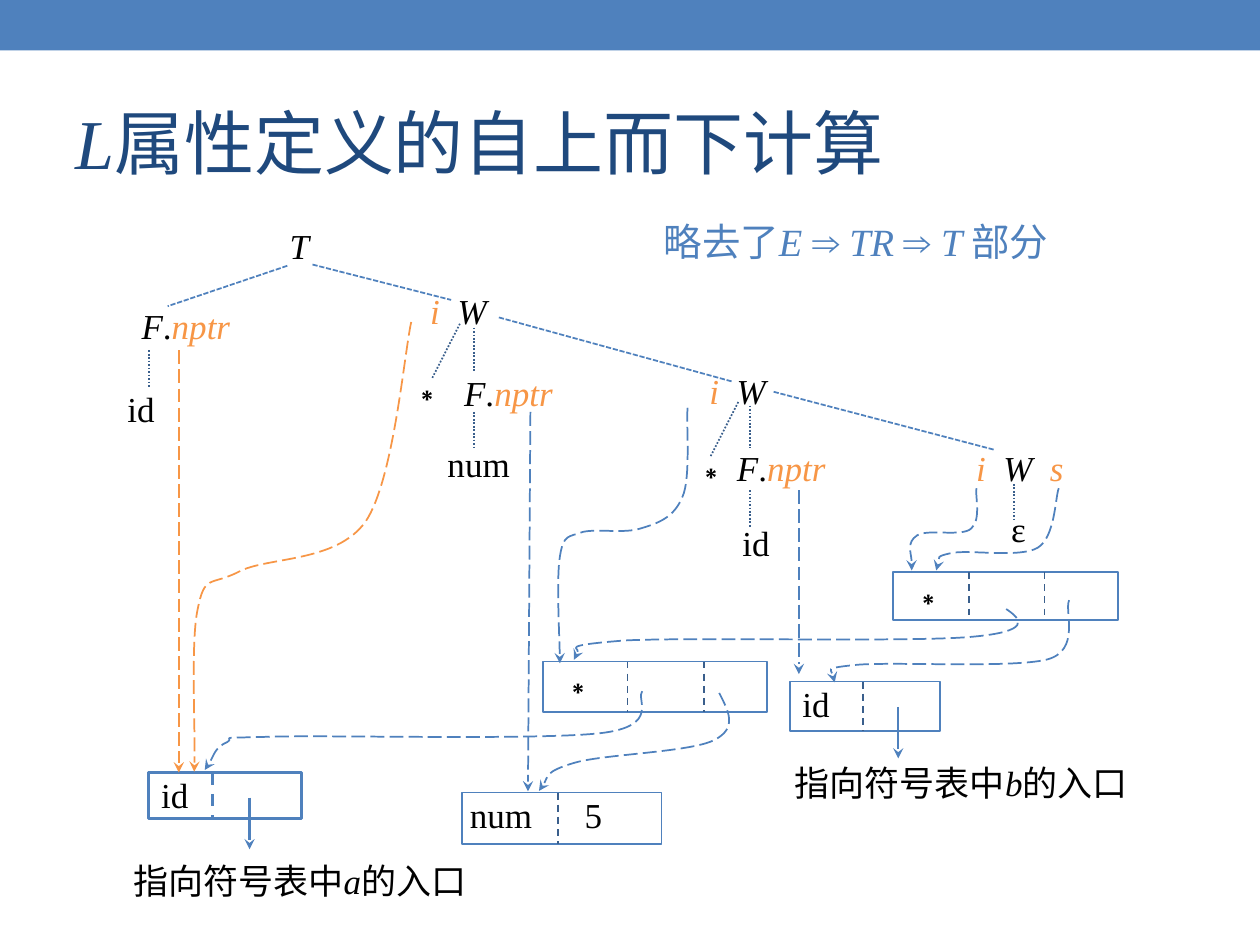
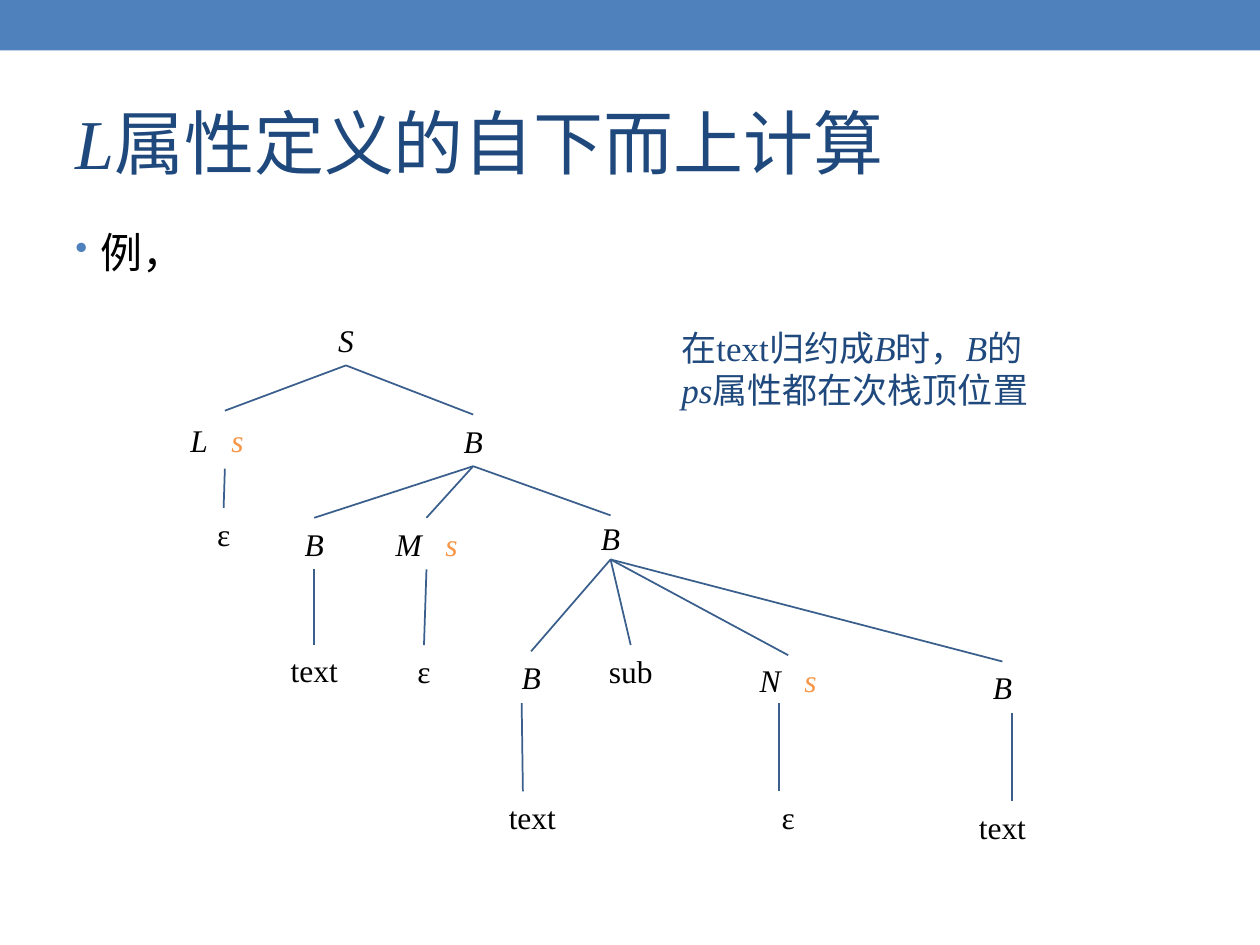
from lxml import etree
from pptx import Presentation
from pptx.dml.color import RGBColor
from pptx.enum.dml import MSO_LINE
from pptx.enum.shapes import MSO_CONNECTOR, MSO_SHAPE
from pptx.enum.text import MSO_ANCHOR, PP_ALIGN
from pptx.oxml.ns import qn
from pptx.util import Pt

RECT, LINE = MSO_SHAPE.RECTANGLE, MSO_CONNECTOR.STRAIGHT
DOT, SHORT = MSO_LINE.ROUND_DOT, MSO_LINE.SQUARE_DOT
DASH, LONG = MSO_LINE.DASH, MSO_LINE.LONG_DASH
LEFT, MID = PP_ALIGN.LEFT, PP_ALIGN.CENTER
TOP, HALF = MSO_ANCHOR.TOP, MSO_ANCHOR.MIDDLE

FACE = "Times New Roman"
BLUE, NAVY, STEEL = "4F81BD", "1F497D", "3A5F8C"
ORANGE, BLACK = "F79646", "000000"
TIGHT = (1.4, 0.7, 1.4, 0.7)
ROOMY = (7.2, 3.6, 7.2, 3.6)

# Runs are (text, flags): i = italic, o = orange
NPTR = [("F", "i"), (".", ""), ("nptr", "io")]


def color(code):
    return RGBColor.from_string(code)


def add_xml(parent, tag, **attrs):
    return etree.SubElement(parent, qn(tag), {k: str(v) for k, v in attrs.items()})


def fill_text(shape, runs, size=20, hue=BLACK, align=LEFT, anchor=TOP,
              pad=TIGHT, tabs=(), bullet=None):
    frame = shape.text_frame
    frame.word_wrap = True
    frame.vertical_anchor = anchor
    (frame.margin_left, frame.margin_top,
     frame.margin_right, frame.margin_bottom) = map(Pt, pad)
    para = frame.paragraphs[0]
    para.alignment = align
    props = para._p.get_or_add_pPr()
    if bullet:
        props.set("marL", str(Pt(14.4)))
        props.set("indent", str(Pt(-14.4)))
        add_xml(add_xml(props, "a:buClr"), "a:srgbClr", val=BLUE)
        add_xml(props, "a:buSzPct", val=85000)
        add_xml(props, "a:buChar", char=bullet)
    if tabs:
        stops = add_xml(props, "a:tabLst")
        for stop in tabs:
            add_xml(stops, "a:tab", pos=Pt(stop), algn="l")
    for words, flags in [(runs, "")] if isinstance(runs, str) else runs:
        run = para.add_run()
        run.text = words
        font = run.font
        font.name, font.size = FACE, Pt(size)
        font.italic = "i" in flags
        font.color.rgb = color(ORANGE if "o" in flags else hue)
    return shape


def text(slide, box, runs, **form):
    return fill_text(slide.shapes.add_textbox(*map(Pt, box)), runs, **form)


def style(shape, hue, width=1, dash=None, arrow=False):
    line = shape.line
    line.color.rgb = color(hue)
    line.width = Pt(width)
    if dash:
        line.dash_style = dash
    if arrow:
        add_xml(shape._element.spPr.find(qn("a:ln")), "a:tailEnd", type="stealth")


def link(slide, x1, y1, x2, y2, hue=STEEL, **form):
    wire = slide.shapes.add_connector(LINE, Pt(x1), Pt(y1), Pt(x2), Pt(y2))
    style(wire, hue, **form)
    add_xml(wire._element.spPr, "a:effectLst")
    return wire


def curve(slide, hue, points):
    """Draw a dashed arrow: a start, then three points for each Bezier arc."""
    spots = [(Pt(x), Pt(y)) for x, y in points]
    pen = slide.shapes.build_freeform(*spots[0], scale=1.0)
    pen.add_line_segments(spots[1:], close=False)
    shape = pen.convert_to_shape()
    shape.fill.background()
    shape.shadow.inherit = False
    trace = shape._element.find(".//" + qn("a:path"))
    steps = trace.findall(qn("a:lnTo"))
    for n in range(0, len(steps), 3):
        arc = add_xml(trace, "a:cubicBezTo")
        for step in steps[n:n + 3]:
            arc.append(step[0])
            trace.remove(step)
    style(shape, hue, dash=LONG, arrow=True)


def frame_slide(deck, title):
    """Add a slide with the top band and the title."""
    slide = deck.slides.add_slide(deck.slide_layouts[6])
    band = slide.shapes.add_shape(RECT, 0, 0, Pt(720), Pt(28.8))
    band.shadow.inherit = False
    band.fill.solid()
    band.fill.fore_color.rgb = color(BLUE)
    band.line.fill.background()
    text(slide, (36, 41.8, 648, 77.8), [("L", "i"), (title, "")],
         size=40, hue=NAVY, anchor=HALF, pad=ROOMY)
    return slide


def record(slide, box, words, cuts, inset=7.2, width=1, hue=STEEL,
           point=None, tabs=()):
    """Draw a node record with dashed cuts and an optional table pointer."""
    x, y, w, h = box
    cell = slide.shapes.add_shape(RECT, *map(Pt, box))
    cell.fill.background()
    cell.shadow.inherit = False
    style(cell, BLUE, width)
    fill_text(cell, words, pad=(inset,) + TIGHT[1:], tabs=tabs)
    for cut in cuts:
        link(slide, x + cut, y, x + cut, y + h, hue, width=width, dash=DASH)
    if point:
        link(slide, x + point, y + 14.4, x + point, y + 43.9, BLUE,
             width=width, arrow=True)


def parse_tree(slide):
    # Node labels: left, top, width
    for x, y, w, runs in [
            (159, 127.4, 24, [("T", "i")]),
            (252.7, 211.7, 75.6, NPTR), (68.4, 173.5, 75.6, NPTR),
            (407.5, 254.2, 77.8, NPTR),
            (61.2, 221, 38.9, "id"), (419, 297.4, 26, "id"),
            (246.2, 252, 54.7, "num"), (573, 289.4, 18, "ε"),
            (230.4, 210.2, 27.4, "∗"), (393.8, 254.9, 25.2, "∗")]:
        text(slide, (x, y, w, 24), runs, align=MID)
    # W nodes with inherited i, the last also with synthesized s
    for x, y, tail in [(244.5, 164.9, ""), (404, 210.2, ""), (556.4, 254.2, "\ts")]:
        text(slide, (x, y, 58, 24), [("i", "io"), ("\tW", "i"), (tail, "io")][:3 if tail else 2],
             tabs=(15.6, 42.2))

    # Long branches
    for ends in [(178.6, 151.2, 257.8, 171.4), (285.1, 181.4, 419, 218.2),
                 (442.1, 223.9, 568.1, 257), (164.2, 151.9, 95.8, 175)]:
        link(slide, *ends, BLUE, dash=SHORT)
    # Short branches
    for x, y, drop in [(85, 200.2, 21.6), (270.7, 235.4, 21.6),
                       (428.4, 280.1, 21.6), (579.6, 276.5, 21.6),
                       (270.7, 187.2, 25.2), (428.4, 231.8, 24.5)]:
        link(slide, x, y, x, y + drop, dash=DOT)
    for x, y in [(421.9, 229.7), (262.8, 185)]:
        link(slide, x, y, x - 15.8, y + 31, dash=DOT)


def records(slide):
    record(slide, (85, 441.4, 87.1, 26.6), "id", [36.4], width=1.75,
           hue=BLUE, point=57.6)
    record(slide, (451.4, 389.5, 85.7, 28.4), "id", [41.8], point=61.9)
    record(slide, (264.2, 452.9, 113.8, 29.5), "num\t5", [54.7], inset=4.3,
           tabs=[65.6])
    record(slide, (510.5, 326.9, 128.2, 27.4), "∗", [43.2, 86.4], inset=10)
    record(slide, (310.3, 378, 128.2, 28.8), "∗", [48.2, 92.2], inset=10)
    for x, y, name in [(41, 490.3, "a"), (419, 434.2, "b")]:
        text(slide, (x, y, 260.6, 24),
             [("指向符号表中", ""), (name, "i"), ("的入口", "")], align=MID)


def pointers(slide):
    for ends, hue in [((102.2, 200.2, 102.2, 441.4), ORANGE),
                      ((303.1, 235.4, 301.7, 452.2), BLUE),
                      ((456.5, 280.1, 456.5, 385.2), BLUE)]:
        link(slide, *ends, hue, dash=LONG, arrow=True)
    # From i and s to the records
    curve(slide, ORANGE, [
        (235, 184), (231, 202), (225, 274), (209, 298), (192, 322),
        (152, 318), (136, 327), (120, 335), (117, 328), (113, 348),
        (109, 366), (112, 421), (111, 441)])
    curve(slide, BLUE, [
        (393, 233), (392, 241), (395, 273), (390, 284), (385, 296),
        (376, 299), (366, 302), (357, 305), (341, 302), (333, 304),
        (325, 307), (322, 305), (320, 318), (318, 330), (320, 369), (320, 379)])
    curve(slide, BLUE, [
        (558, 279), (557, 282), (561, 297), (555, 302), (550, 307),
        (530, 302), (524, 306), (518, 310), (522, 322), (521, 326)])
    curve(slide, BLUE, [
        (605, 279), (603, 284), (603, 307), (593, 313), (583, 319),
        (554, 314), (544, 316), (534, 318), (536, 324), (535, 326)])
    # From record to record
    curve(slide, BLUE, [
        (367, 395), (363, 399), (378, 415), (343, 419), (307, 423),
        (190, 420), (155, 421), (120, 422), (135, 421), (130, 424),
        (123, 427), (120, 437), (117, 440)])
    curve(slide, BLUE, [
        (411, 396), (416, 406), (422, 416), (408, 423), (394, 430),
        (344, 431), (328, 436), (311, 441), (311, 450), (308, 452)])
    curve(slide, BLUE, [
        (575, 348), (584, 354), (590, 361), (554, 364), (518, 367),
        (395, 364), (357, 366), (319, 369), (334, 375), (328, 377)])
    curve(slide, BLUE, [
        (611, 343), (608, 349), (618, 372), (598, 377), (577, 382),
        (509, 378), (489, 380), (469, 382), (477, 387), (477, 390)])


def top_down(deck):
    slide = frame_slide(deck, "属性定义的自上而下计算")
    parse_tree(slide)
    records(slide)
    pointers(slide)
    text(slide, (372.2, 110.9, 340, 54),
         [("略去了", ""), ("E ", "i"), ("⇒ ", ""), ("TR ", "i"),
          ("⇒ ", ""), ("T ", "i"), ("部分", "")],
         size=22, hue=BLUE, anchor=HALF, pad=ROOMY)


def box_tree(slide):
    # Plain nodes: centre, top, height, word, flags
    nodes = {}
    for key, x, y, h, word, flags in [
            ("S", 197.7, 179.3, 29.5, "S", "i"),
            ("B", 270.4, 236.9, 29.5, "B", "i"),
            ("L1", 127.8, 290.2, 29.5, "ε", ""),
            ("B1", 179.6, 295.9, 29.5, "B", "i"),
            ("B2", 348.9, 294.5, 25.2, "B", "i"),
            ("text", 179.6, 368.6, 28.1, "text", ""),
            ("M1", 242.3, 368.6, 29.5, "ε", ""),
            ("B3", 303.5, 372.2, 29.5, "B", "i"),
            ("sub", 360.4, 368.6, 29.5, "sub", ""),
            ("B4", 572.8, 378, 29.5, "B", "i"),
            ("text3", 304.2, 452.2, 29.5, "text", ""),
            ("N1", 450.4, 452.2, 29.5, "ε", ""),
            ("text4", 572.8, 457.9, 29.5, "text", "")]:
        nodes[key] = text(slide, (x - 27, y, 54, h), [(word, flags)], size=18,
                          align=MID, anchor=HALF, pad=ROOMY)
    # Nodes with attribute s: box, left inset, tab
    for key, box, inset, tab in [
            ("L", (82.8, 234.7, 91.4, 33.1), 26, 23.5),
            ("M", (216.7, 295.9, 54, 29.5), 9.3, 28.5),
            ("N", (413.3, 374.4, 74.2, 28.1), 20.8, 25.5)]:
        nodes[key] = text(slide, box, [(key, "i"), ("\ts", "io")], size=18,
                          anchor=HALF, pad=(inset, 3.6, 0, 3.6), tabs=[tab])
    # Edges from parent to child
    for head, kids in {"S": "L B", "B": "B1 M B2", "B2": "B3 sub N B4",
                       "L": "L1", "B1": "text", "M": "M1"}.items():
        for kid in kids.split():
            wire = link(slide, 0, 0, 1, 1)
            wire.begin_connect(nodes[head], 2)
            wire.end_connect(nodes[kid], 0)
    # Edges off the box centres
    for ends in [(445, 401.8, 445, 452.2), (578.2, 407.5, 578.2, 457.9),
                 (298.1, 401.8, 298.8, 452.2)]:
        link(slide, *ends)


def bottom_up(deck):
    slide = frame_slide(deck, "属性定义的自下而上计算")
    text(slide, (36, 126, 648, 40), "例，", size=24, pad=ROOMY, bullet="•")
    text(slide, (382.3, 182.9, 218.9, 79.9),
         [("在text归约成", ""), ("B", "i"), ("时，", ""), ("B", "i"),
          ("的", ""), ("ps", "i"), ("属性都在次栈顶位置", "")],
         hue=NAVY, pad=ROOMY)
    box_tree(slide)


def main():
    deck = Presentation()
    deck.slide_width, deck.slide_height = Pt(720), Pt(540)
    top_down(deck)
    bottom_up(deck)
    deck.save("out.pptx")


if __name__ == "__main__":
    main()
